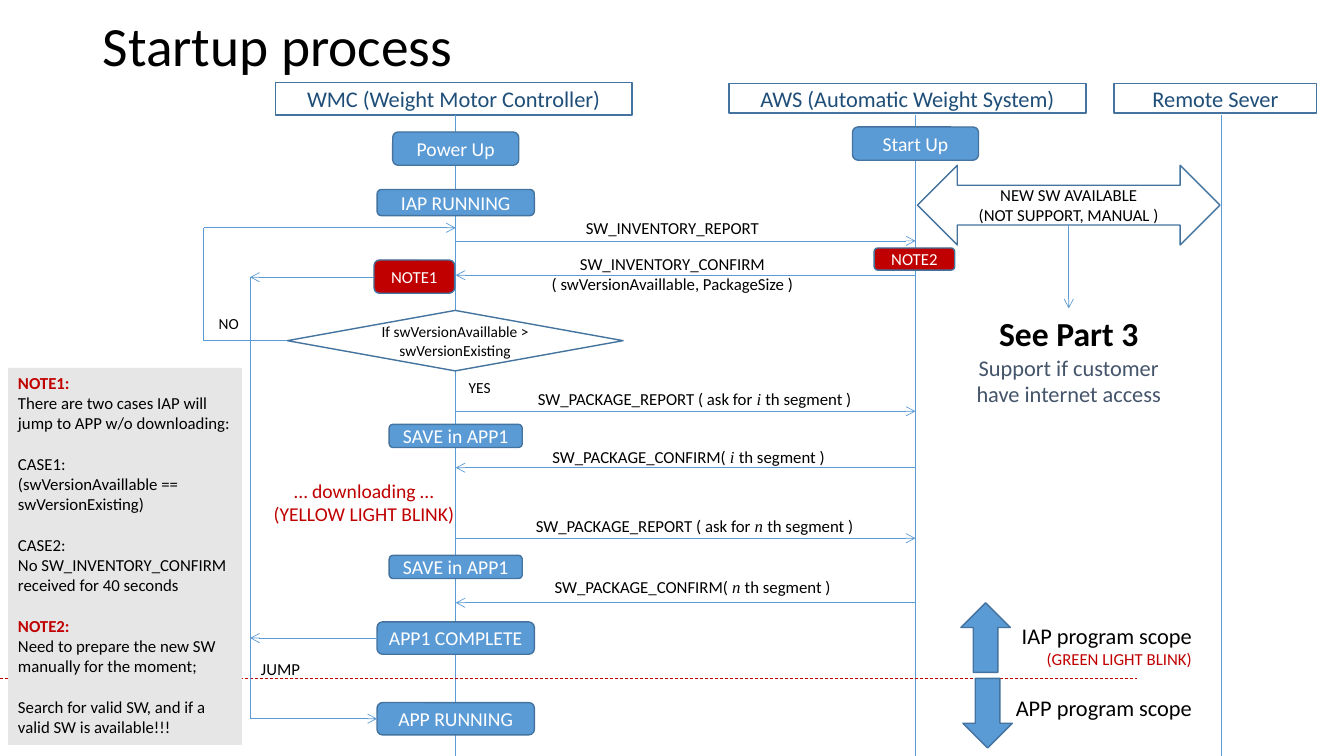
from dataclasses import dataclass

from lxml import etree
from pptx import Presentation
from pptx.dml.color import RGBColor
from pptx.enum.dml import MSO_LINE
from pptx.enum.shapes import MSO_CONNECTOR, MSO_SHAPE
from pptx.enum.text import MSO_ANCHOR, PP_ALIGN
from pptx.oxml.ns import qn
from pptx.util import Inches, Pt

RECT, ROUND = MSO_SHAPE.RECTANGLE, MSO_SHAPE.ROUNDED_RECTANGLE
DECISION, WIDE_ARROW = MSO_SHAPE.FLOWCHART_DECISION, MSO_SHAPE.LEFT_RIGHT_ARROW
UP, DOWN = MSO_SHAPE.UP_ARROW, MSO_SHAPE.DOWN_ARROW
STRAIGHT, DASH = MSO_CONNECTOR.STRAIGHT, MSO_LINE.DASH
LEFT, CENTER, RIGHT = PP_ALIGN.LEFT, PP_ALIGN.CENTER, PP_ALIGN.RIGHT
TOP, MIDDLE = MSO_ANCHOR.TOP, MSO_ANCHOR.MIDDLE


@dataclass(frozen=True)
class Theme:
    """Colours, fonts and type sizes of the slide."""
    font: str = "Calibri"
    index_font: str = "Times New Roman"
    black: str = "000000"
    white: str = "FFFFFF"
    red: str = "C00000"
    blue: str = "5B9BD5"
    edge: str = "43739E"
    navy: str = "1F4E79"
    slate: str = "44546A"
    grey: str = "E7E6E6"
    title: float = 39.6
    callout: float = 24
    head: float = 16
    step: float = 14
    body: float = 12
    small: float = 11
    gap: float = 14.6


T = Theme()


@dataclass(frozen=True)
class Para:
    """A paragraph whose text marks an italic index between asterisks."""
    text: str
    size: float = T.body
    color: str = T.black
    bold: bool = False
    before: float = 0


def rgb(color):
    """Turn a hex string into a colour."""
    return RGBColor.from_string(color)


def write(sp, paras, align=CENTER, anchor=MIDDLE):
    """Fill a shape with paragraphs."""
    tf = sp.text_frame
    tf.word_wrap = True
    tf.vertical_anchor = anchor
    for i, para in enumerate(paras):
        p = tf.paragraphs[0] if i == 0 else tf.add_paragraph()
        p.alignment = align
        p.space_before = Pt(para.before)
        p.font.name, p.font.size, p.font.bold = T.font, Pt(para.size), para.bold
        p.font.color.rgb = rgb(para.color)
        for j, part in enumerate(para.text.split("*")):
            r = p.add_run()
            r.text = part
            if j % 2:
                r.font.name, r.font.italic = T.index_font, True


def text(s, x, y, w, h, paras, align=CENTER, anchor=TOP):
    """Add a text box."""
    sp = s.shapes.add_textbox(Inches(x), Inches(y), Inches(w), Inches(h))
    write(sp, paras, align, anchor)
    return sp


def shape(s, kind, x, y, w, h, paras=(), fill=None, line=T.edge, **layout):
    """Add a preset shape with optional fill, outline and text."""
    sp = s.shapes.add_shape(kind, Inches(x), Inches(y), Inches(w), Inches(h))
    sp.shadow.inherit = False
    if fill:
        sp.fill.solid()
        sp.fill.fore_color.rgb = rgb(fill)
    else:
        sp.fill.background()
    if line:
        sp.line.color.rgb = rgb(line)
        sp.line.width = Pt(1)
    else:
        sp.line.fill.background()
    write(sp, paras, **layout)


def line(s, x1, y1, x2, y2, arrow=False, color=T.blue, dash=None):
    """Add a thin line, with an open arrowhead at its end if asked."""
    c = s.shapes.add_connector(STRAIGHT, Inches(x1), Inches(y1), Inches(x2), Inches(y2))
    c.line.color.rgb = rgb(color)
    c.line.width = Pt(0.5)
    if dash:
        c.line.dash_style = dash
    if arrow:
        etree.SubElement(c.line._get_or_add_ln(), qn("a:tailEnd"), type="arrow")
    etree.SubElement(c._element.spPr, qn("a:effectLst"))


def title(s, x, y, w, h):
    """Place the slide title."""
    sp = text(s, x, y, w, h, [Para("Startup process", T.title)], LEFT, MIDDLE)
    sp.text_frame.paragraphs[0].line_spacing = 0.9


def lane(s, x, y, w, h, name, axis, bottom):
    """Place a lane header and the lifeline below it."""
    shape(s, RECT, x, y, w, h, [Para(name, T.head, T.navy)])
    line(s, axis, 1.14, axis, bottom)


def step(s, axis, y, w, h, label, fill=T.blue, size=T.step):
    """Place a rounded step centred on an axis."""
    shape(s, ROUND, axis - w / 2, y, w, h, [Para(label, size, T.white)], fill)


def messages(s, x, y, w):
    """Place the messages exchanged between controller and weight system."""
    report, confirm = "SW_PACKAGE_REPORT ( ask for *{} *th segment )", "SW_PACKAGE_CONFIRM( *{} *th segment )"
    rows = [
        (0, -0.28, 2.15, True, ["SW_INVENTORY_REPORT"]),
        (0.34, 0.08, 2.15, False, ["SW_INVENTORY_CONFIRM", "( swVersionAvaillable, PackageSize )"]),
        (1.69, 1.42, 2.37, True, [report.format("i")]),
        (2.25, 1.99, 2.31, False, [confirm.format("i")]),
        (2.95, 2.68, 2.37, True, [report.format("n")]),
        (3.59, 3.28, 2.35, False, [confirm.format("n")]),
    ]
    for dy, label_dy, mid, outgoing, labels in rows:
        start, end = (x, x + w) if outgoing else (x + w, x)
        line(s, start, y + dy, end, y + dy, arrow=True)
        text(s, x + mid - 1.88, y + label_dy, 3.76, 0.3 * len(labels), [Para(t) for t in labels])


def controller(s, x, y):
    """Place the controller steps and branches around its axis x."""
    for dy, w, h, label in [
        (0, 1.25, 0.33, "Power Up"), (0.57, 1.56, 0.26, "IAP RUNNING"),
        (2.9, 1.32, 0.23, "SAVE in APP1"), (4.2, 1.32, 0.23, "SAVE in APP1"),
        (4.86, 1.56, 0.32, "APP1 COMPLETE"), (5.66, 1.56, 0.32, "APP RUNNING"),
    ]:
        step(s, x, y + dy, w, h, label)
    shape(s, DECISION, x - 1.67, y + 1.77, 3.33, 0.6,
          [Para("If swVersionAvaillable > swVersionExisting", T.small)], T.white)
    step(s, x - 0.41, y + 1.27, 0.8, 0.33, "NOTE1", T.red, T.body)
    retry, jump = x - 2.5, x - 2.04
    line(s, x - 1.67, y + 2.07, retry, y + 2.07)
    line(s, retry, y + 2.07, retry, y + 0.95)
    line(s, retry, y + 0.95, x, y + 0.95, arrow=True)
    line(s, x - 0.81, y + 1.44, jump, y + 1.44, arrow=True)
    line(s, jump, y + 1.44, jump, y + 5.82)
    line(s, x - 0.78, y + 5.02, jump, y + 5.02, arrow=True)
    line(s, jump, y + 5.82, x - 0.78, y + 5.82, arrow=True)
    for dx, dy, w, label, size in [
        (-2.45, 1.76, 0.53, "NO", T.small), (0.03, 2.39, 0.53, "YES", T.small),
        (-2.03, 5.18, 0.75, "JUMP", T.body),
    ]:
        text(s, x + dx, y + dy, w, 0.3, [Para(label, size)], LEFT)
    text(s, x - 2.02, y + 3.39, 2.22, 0.57,
         [Para(t, T.step, T.red) for t in ("… downloading …", "(YELLOW LIGHT BLINK)")])


def notes_panel(s, x, y, w, h):
    """Place the grey panel with both notes."""
    shape(s, RECT, x, y, w, h, [
        Para("NOTE1:", color=T.red, bold=True),
        Para("There are two cases IAP will jump to APP w/o downloading:"),
        Para("CASE1:", before=T.gap),
        Para("(swVersionAvaillable == swVersionExisting)"),
        Para("CASE2:", before=T.gap),
        Para("No SW_INVENTORY_CONFIRM received for 40 seconds"),
        Para("NOTE2:", color=T.red, bold=True, before=T.gap),
        Para("Need to prepare the new SW manually for the moment;"),
        Para("Search for valid SW, and if a valid SW is available!!!", before=T.gap),
    ], T.grey, None, align=LEFT, anchor=TOP)


def server_exchange(s, x, y, w):
    """Place the exchange with the remote server and its outcome."""
    shape(s, WIDE_ARROW, x, y, w, 0.79, [Para("NEW SW AVAILABLE"), Para("(NOT SUPPORT, MANUAL )")])
    line(s, x + w / 2, y + 0.59, x + w / 2, y + 1.42, arrow=True)
    text(s, x + w / 2 - 1.09, y + 1.42, 2.18, 1.04, [
        Para("See Part 3", T.callout, bold=True),
        Para("Support if customer have internet access", T.head, T.slate)])


def scopes(s, x, y, w):
    """Place the program scopes above and below the dashed border y."""
    line(s, 0, y, x + w - 0.64, y, color=T.red, dash=DASH)
    for kind, dx, dy in [(UP, 0, -0.75), (DOWN, 0.02, 0)]:
        shape(s, kind, x + dx, y + dy, 0.49, 0.69, fill=T.blue)
    text(s, x + 0.07, y - 0.61, w - 0.07, 0.57, [
        Para("IAP program scope", T.head), Para("(GREEN LIGHT BLINK)", color=T.red)], RIGHT)
    text(s, x + 0.07, y + 0.11, w - 0.07, 0.37, [Para("APP program scope", T.head)], RIGHT)


def main():
    """Build the startup process slide."""
    prs = Presentation()
    prs.slide_width, prs.slide_height = Inches(13.33), Inches(7.5)
    s = prs.slides.add_slide(prs.slide_layouts[6])
    wmc, aws, remote, bottom = 4.52, 9.08, 12.11, 7.5
    title(s, 0.92, 0.12, 11.5, 0.73)
    lane(s, 2.73, 0.82, 3.54, 0.32, "WMC (Weight Motor Controller)", wmc, bottom)
    lane(s, 7.23, 0.83, 3.54, 0.29, "AWS (Automatic Weight System)", aws, bottom)
    lane(s, 11.05, 0.83, 2.01, 0.29, "Remote Sever", remote, bottom)
    step(s, aws, 1.26, 1.25, 0.33, "Start Up")
    messages(s, wmc, 2.39, aws - wmc)
    scopes(s, 9.53, 6.73, 2.39)
    controller(s, wmc, 1.31)
    notes_panel(s, 0.08, 3.65, 2.32, 3.74)
    server_exchange(s, 9.1, 1.64, 3)
    step(s, aws - 0.01, 2.46, 0.8, 0.22, "NOTE2", T.red, T.body)
    prs.save("out.pptx")


if __name__ == "__main__":
    main()
